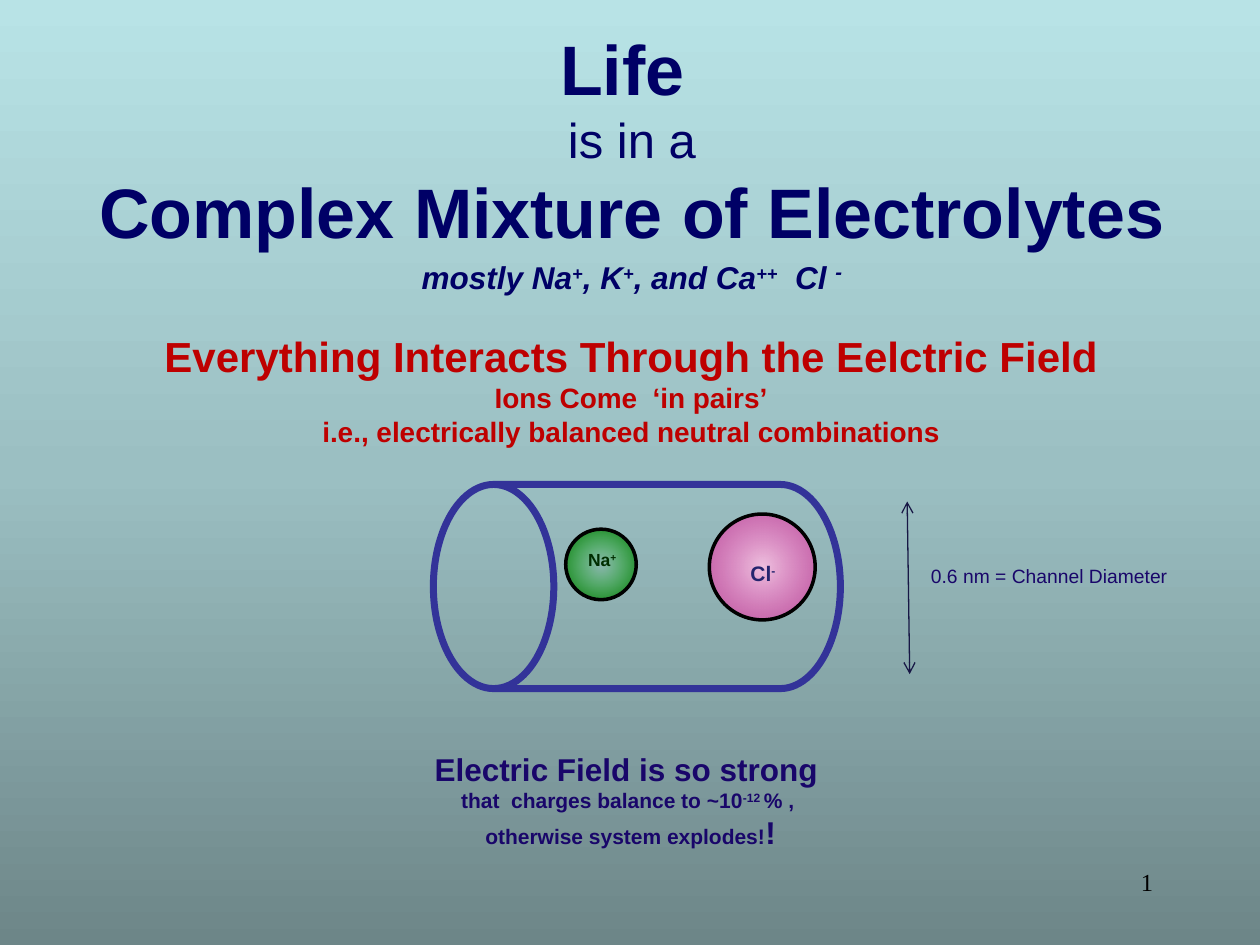
from copy import deepcopy
from lxml.etree import SubElement
from pptx import Presentation
from pptx.dml.color import RGBColor
from pptx.enum.shapes import MSO_CONNECTOR, MSO_SHAPE
from pptx.enum.text import MSO_ANCHOR, PP_ALIGN
from pptx.oxml import parse_xml
from pptx.oxml.ns import nsdecls, qn
from pptx.util import Inches, Pt

color = RGBColor.from_string
presentation = Presentation()
presentation.slide_width, presentation.slide_height = Inches(10), Inches(7.5)
column = presentation.slide_width / 100
row = presentation.slide_height / 75


def grid(left, top, width, height):
    """Turn columns and rows into slide lengths."""
    return [int(left * column), int(top * row), int(width * column), int(height * row)]


def write_text(shape, paragraphs, text_color, font_name="Arial", bold=True,
               align=PP_ALIGN.CENTER, anchor=MSO_ANCHOR.TOP):
    """Fill a shape with paragraphs of (text, size, style) pieces; style i = italic, ^ = raised, n = normal."""
    frame = shape.text_frame
    frame.word_wrap = True
    frame.vertical_anchor = anchor
    for index, pieces in enumerate(paragraphs):
        paragraph = frame.paragraphs[0] if index == 0 else frame.add_paragraph()
        paragraph.alignment = align
        paragraph.space_before = Pt(1.5 if index else 0)
        for text, size, style in pieces:
            run = paragraph.add_run()
            run.text = text.rstrip("\n")
            run.font.name, run.font.size = font_name, Pt(size)
            run.font.bold = bold and "n" not in style
            run.font.italic = "i" in style
            run.font.color.rgb = color(text_color)
            properties = run.font._element
            if "^" in style:
                properties.set("baseline", "30000")
            if text.endswith("\n"):
                paragraph.add_line_break()
                line_break = paragraph._p.findall(qn("a:br"))[-1]
                line_break.append(deepcopy(properties))
                if size == 40:
                    line_break[0].set("sz", "4400")
                elif size == 28:
                    line_break[0].set("sz", "3000")


slide = presentation.slides.add_slide(presentation.slide_layouts[5])
slide.background.fill.solid()

# Title
title = slide.shapes.title
title.left, title.top, title.width, title.height = grid(1.4, 1.5, 97.5, 23.2)
write_text(title, [
    [("Life \n", 40, ""), ("is in a\n", 28, "n"), ("Complex Mixture of Electrolytes", 40, "")],
    [("mostly Na", 18, "i"), ("+", 18, "i^"), (", K", 18, "i"), ("+", 18, "i^"),
     (", and Ca", 18, "i"), ("++", 18, "i^"), ("  Cl ", 18, "i"), ("-", 20, "i^")],
], "000066")

# Statements above and below the channel
statements = [
    ((3.1, 25.5, 94, 10.8), "BE0000", [
        ("Everything Interacts Through the Eelctric Field\n", 24, ""),
        ("Ions Come  ‘in pairs’\n", 16, ""),
        ("i.e., electrically balanced neutral combinations", 16, "")]),
    ((10.4, 58.8, 79.3, 9.4), "19066A", [
        ("Electric Field is so strong \n", 18, ""),
        ("that  charges balance to ~10", 12, ""), ("-12 ", 12, "^"), ("% , \n", 12, ""),
        ("otherwise system explodes!", 12, ""), ("!", 18, "")]),
]
for place, text_color, pieces in statements:
    box = slide.shapes.add_textbox(*grid(*place))
    write_text(box, [pieces], text_color, anchor=MSO_ANCHOR.MIDDLE)

# Channel, lying on its side
channel = slide.shapes.add_shape(MSO_SHAPE.CAN, *grid(42.45, 30.4, 16.2, 32.3))
channel.rotation = 270
channel.adjustments[0] = 0.59
channel.fill.background()
channel.line.color.rgb = color("333399")
channel.line.width = Pt(4)
channel.shadow.inherit = False

# Ions and their labels
ions = [
    ((56.3, 40.8, 8.4, 8.4), [(0, "EFBFDF", 100), (100, "CC3399", 75)],
     (57.1, 39.1, 6.9, 7.9), "24246E", [("Cl", 12, ""), ("-", 12, "^")], MSO_ANCHOR.BOTTOM),
    ((44.9, 42, 5.6, 5.6), [(0, "00BC00", 4), (100, "006C00", 100)],
     (42.8, 43.1, 10, 3.8), "002E00", [("Na", 10, ""), ("+", 10, "^")], MSO_ANCHOR.TOP),
]
center = '<a:path path="circle"><a:fillToRect l="50000" t="50000" r="50000" b="50000"/></a:path>'
gradients = [(slide, [(0, "6D8688", 100), (50, "9BBFC2", 100), (100, "B8E3E6", 100)],
              '<a:lin ang="16200000" scaled="0"/>')]
for place, stops, label_place, text_color, pieces, anchor in ions:
    ion = slide.shapes.add_shape(MSO_SHAPE.OVAL, *grid(*place))
    ion.fill.solid()
    ion.line.color.rgb = color("000000")
    ion.line.width = Pt(2)
    ion.shadow.inherit = False
    gradients.append((ion, stops, center))
    label = slide.shapes.add_textbox(*grid(*label_place))
    write_text(label, [pieces], text_color, anchor=anchor)

# Gradients of the background and the ions
for owner, stops, direction in gradients:
    stop_xml = "".join(
        f'<a:gs pos="{position * 1000}"><a:srgbClr val="{value}">'
        f'<a:alpha val="{opacity * 1000}"/></a:srgbClr></a:gs>'
        for position, value, opacity in stops)
    solid = next(owner.element.iter(qn("a:solidFill")))
    solid.getparent().replace(solid, parse_xml(
        f'<a:gradFill {nsdecls("a")} rotWithShape="1"><a:gsLst>{stop_xml}</a:gsLst>{direction}</a:gradFill>'))

# Diameter arrow
start_x, start_y, end_x, end_y = grid(72.2, 53.5, 72, 39.8)
arrow = slide.shapes.add_connector(MSO_CONNECTOR.STRAIGHT, start_x, start_y, end_x, end_y)
arrow.line.color.rgb = color("171745")
arrow.line.width = Pt(0.75)
for end in ("a:headEnd", "a:tailEnd"):
    SubElement(arrow.line._get_or_add_ln(), qn(end), type="arrow")
SubElement(arrow._element.spPr, qn("a:effectLst"))

# Diameter label and slide number
diameter = slide.shapes.add_textbox(*grid(72.9, 44.3, 26, 4))
write_text(diameter, [[("0.6 nm = Channel Diameter", 11, "")]], "19066A", bold=False, align=PP_ALIGN.LEFT)
number = slide.shapes.add_textbox(*grid(71.7, 68.3, 20.8, 5))
write_text(number, [[("1", 14, "")]], "000000", "Times New Roman", False, PP_ALIGN.RIGHT)

presentation.save("out.pptx")
